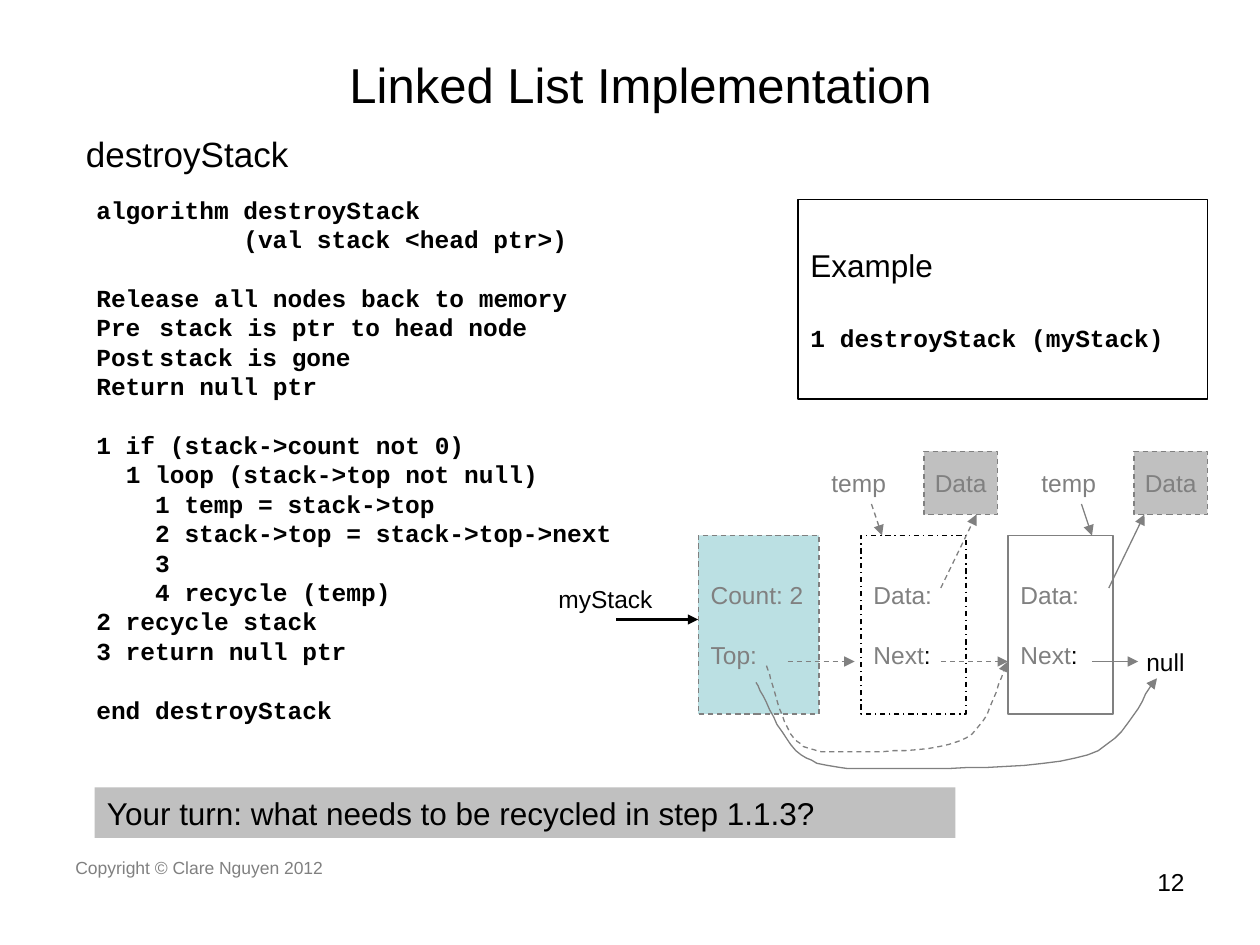
from lxml.etree import SubElement
from pptx import Presentation
from pptx.dml.color import RGBColor
from pptx.enum.dml import MSO_LINE
from pptx.enum.shapes import MSO_CONNECTOR, MSO_SHAPE
from pptx.enum.text import MSO_ANCHOR, PP_ALIGN
from pptx.oxml.ns import qn
from pptx.util import Pt

PX = 7620  # EMU, 120 px to the inch
CHAR = 14  # px, width of one code letter
HEX = {"ink": "000000", "gray": "808080", "fill": "C0C0C0", "teal": "BBE0E3"}
DASH, DOT = MSO_LINE.DASH, MSO_LINE.DASH_DOT

# (indent in letters, blank line above, text)
CODE = [
    (0, False, "algorithm destroyStack"),
    (10, False, "(val stack <head ptr>)"),
    (0, True, "Release all nodes back to memory"),
    (0, False, "Pre\tstack is ptr to head node"),
    (0, False, "Post\tstack is gone"),
    (0, False, "Return null ptr"),
    (0, True, "1 if (stack->count not 0)"),
    (2, False, "1 loop (stack->top not null)"),
    (4, False, "1 temp = stack->top"),
    (4, False, "2 stack->top = stack->top->next"),
    (4, False, "3"),
    (4, False, "4 recycle (temp)"),
    (0, False, "2 recycle stack"),
    (0, False, "3 return null ptr"),
    (0, True, "end destroyStack"),
]
# Sagging curve: x in thousandths of its width, y in px
SAG = [(0, 4), (18, 15), (60, 58), (113, 73), (167, 86), (204, 86), (325, 86),
       (440, 86), (712, 87), (827, 73), (937, 58), (961, 14), (1000, 0)]


def rgb(name):
    return RGBColor.from_string(HEX[name])


def emu(*vals):
    return [round(val * PX) for val in vals]


def stroke(line, color, width=0.75, dash=None):
    line.color.rgb = rgb(color)
    line.width = Pt(width)
    if dash:
        line.dash_style = dash


def tip(shape):
    """Put an arrowhead at the end of a line and drop its shadow."""
    props = shape._element.spPr
    SubElement(props.find(qn("a:ln")), qn("a:tailEnd"), type="triangle")
    if props.find(qn("a:effectLst")) is None:
        SubElement(props, qn("a:effectLst"))


def add_run(para, text, size=14, color="ink", font="Arial", bold=False):
    run = para.add_run()
    run.text = text
    run.font.size, run.font.name, run.font.bold = Pt(size), font, bold
    run.font.color.rgb = rgb(color)


def next_para(frame, gap=0, align=PP_ALIGN.LEFT):
    first = frame.paragraphs[0]
    para = frame.add_paragraph() if first.runs else first
    para.alignment = align
    para.space_before = Pt(gap)
    return para


def label(slide, box, text, size=14, color="ink", align=PP_ALIGN.LEFT,
          anchor=MSO_ANCHOR.TOP):
    frame = slide.shapes.add_textbox(*emu(*box)).text_frame
    frame.word_wrap = True
    frame.vertical_anchor = anchor
    add_run(next_para(frame, align=align), text, size, color)


def block(slide, box, fill=None, line=None, dash=None):
    """Draw a rectangle and return its text frame."""
    shape = slide.shapes.add_shape(MSO_SHAPE.RECTANGLE, *emu(*box))
    shape.shadow.inherit = False
    if fill:
        shape.fill.solid()
        shape.fill.fore_color.rgb = rgb(fill)
    else:
        shape.fill.background()
    if line:
        stroke(shape.line, line, dash=dash)
    else:
        shape.line.fill.background()
    frame = shape.text_frame
    frame.word_wrap = False
    frame.vertical_anchor = MSO_ANCHOR.MIDDLE
    return frame


def arrow(slide, ends, color="gray", width=0.75, dash=None):
    line = slide.shapes.add_connector(MSO_CONNECTOR.STRAIGHT, *emu(*ends))
    stroke(line.line, color, width, dash)
    tip(line)


def sag(slide, x, y, wide, dash=None):
    """Draw the curved arrow, each Bezier piece cut into short steps."""
    pts = [(x + a * wide / 1000, y + b) for a, b in SAG]
    trail = []
    for i in range(0, len(pts) - 1, 3):
        for t in (step / 12 for step in range(1, 13)):
            mix = ((1 - t) ** 3, 3 * t * (1 - t) ** 2, 3 * t * t * (1 - t), t ** 3)
            trail.append(tuple(sum(m * p[k] for m, p in zip(mix, pts[i:i + 4]))
                               for k in (0, 1)))
    pen = slide.shapes.build_freeform(*pts[0], scale=PX)
    pen.add_line_segments(trail, close=False)
    curve = pen.convert_to_shape()
    curve.shadow.inherit = False
    curve.fill.background()
    stroke(curve.line, "gray", dash=dash)
    tip(curve)


def frame_page(slide, x, y, wide):
    label(slide, (x, y, wide, 80), "Linked List Implementation", 28,
          align=PP_ALIGN.CENTER, anchor=MSO_ANCHOR.MIDDLE)
    label(slide, (x, y + 80, wide, 730), "destroyStack", 20)
    label(slide, (x - 10, y + 770, 380, 62), "Copyright © Clare Nguyen 2012",
          10, "gray")
    label(slide, (x + 790, y + 780, 280, 62), "12", align=PP_ALIGN.RIGHT)


def code(slide, box):
    frame = slide.shapes.add_textbox(*emu(*box)).text_frame
    frame.word_wrap = True
    frame.vertical_anchor = MSO_ANCHOR.MIDDLE
    for indent, gap, text in CODE:
        para = next_para(frame, 16.8 if gap else 0)
        props = para._p.get_or_add_pPr()
        props.set("marL", str(indent * CHAR * PX))
        props.set("indent", "0")
        if "\t" in text:
            tabs = SubElement(props, qn("a:tabLst"))
            SubElement(tabs, qn("a:tab"), pos=str(6 * CHAR * PX), algn="l")
        add_run(para, text, font="Courier New", bold=True)


def example(slide, box):
    frame = block(slide, box, line="ink")
    add_run(next_para(frame), "Example", 18)
    add_run(next_para(frame, 22), "1 destroyStack (myStack)",
            font="Courier New", bold=True)


def question(slide, box):
    frame = block(slide, box, fill="fill")
    frame.word_wrap = True
    add_run(next_para(frame), "Your turn: what needs to be recycled in step 1.1.3?", 18)


def head(slide, x, y):
    frame = block(slide, (x, y, 115, 170), "teal", "gray", DASH)
    add_run(next_para(frame), "Count: 2", color="gray")
    add_run(next_para(frame, 17), "Top:", color="gray")


def node(slide, x, y, line, dash=None):
    frame = block(slide, (x, y, 100, 170), line=line, dash=dash)
    add_run(next_para(frame), "Data:", color="gray")
    para = next_para(frame, 17)
    add_run(para, "Next", color="gray")
    add_run(para, ":")


def item(slide, x, y, dash=None):
    """Draw a temp pointer and the data cell to its right."""
    label(slide, (x, y + 10, 76, 41), "temp", color="gray")
    arrow(slide, (x + 50, y + 50, x + 60, y + 80), dash=dash)
    cell = block(slide, (x + 100, y, 70, 60), "fill", "gray", DASH)
    add_run(next_para(cell, align=PP_ALIGN.CENTER), "Data", color="gray")


def diagram(slide, x, y):
    top, link = y + 80, y + 200
    label(slide, (x, y + 120, 128, 41), "myStack")
    arrow(slide, (x + 67, y + 160, x + 145, y + 160), "ink", 1.5)
    head(slide, x + 145, top)
    node(slide, x + 300, top, "ink", DOT)
    node(slide, x + 440, top, "gray")
    item(slide, x + 260, y, DASH)
    item(slide, x + 460, y)
    label(slide, (x + 560, y + 180, 77, 41), "null")
    arrow(slide, (x + 376, y + 130, x + 410, y + 60), dash=DASH)
    arrow(slide, (x + 536, y + 130, x + 570, y + 60))
    for start, end, dash in ((230, 294, DASH), (376, 440, DASH), (520, 564, None)):
        arrow(slide, (x + start, link, x + end, link), dash=dash)
    sag(slide, x + 200, link + 16, 382)
    sag(slide, x + 210, link, 230, DASH)


def main():
    deck = Presentation()
    deck.slide_width, deck.slide_height = emu(1200, 900)
    slide = deck.slides.add_slide(deck.slide_layouts[6])
    frame_page(slide, 70, 40, 1080)
    code(slide, (80, 179, 540, 517))
    example(slide, (760, 190, 390, 190))
    question(slide, (90, 750, 820, 48))
    diagram(slide, 520, 430)
    deck.save("out.pptx")


if __name__ == "__main__":
    main()
